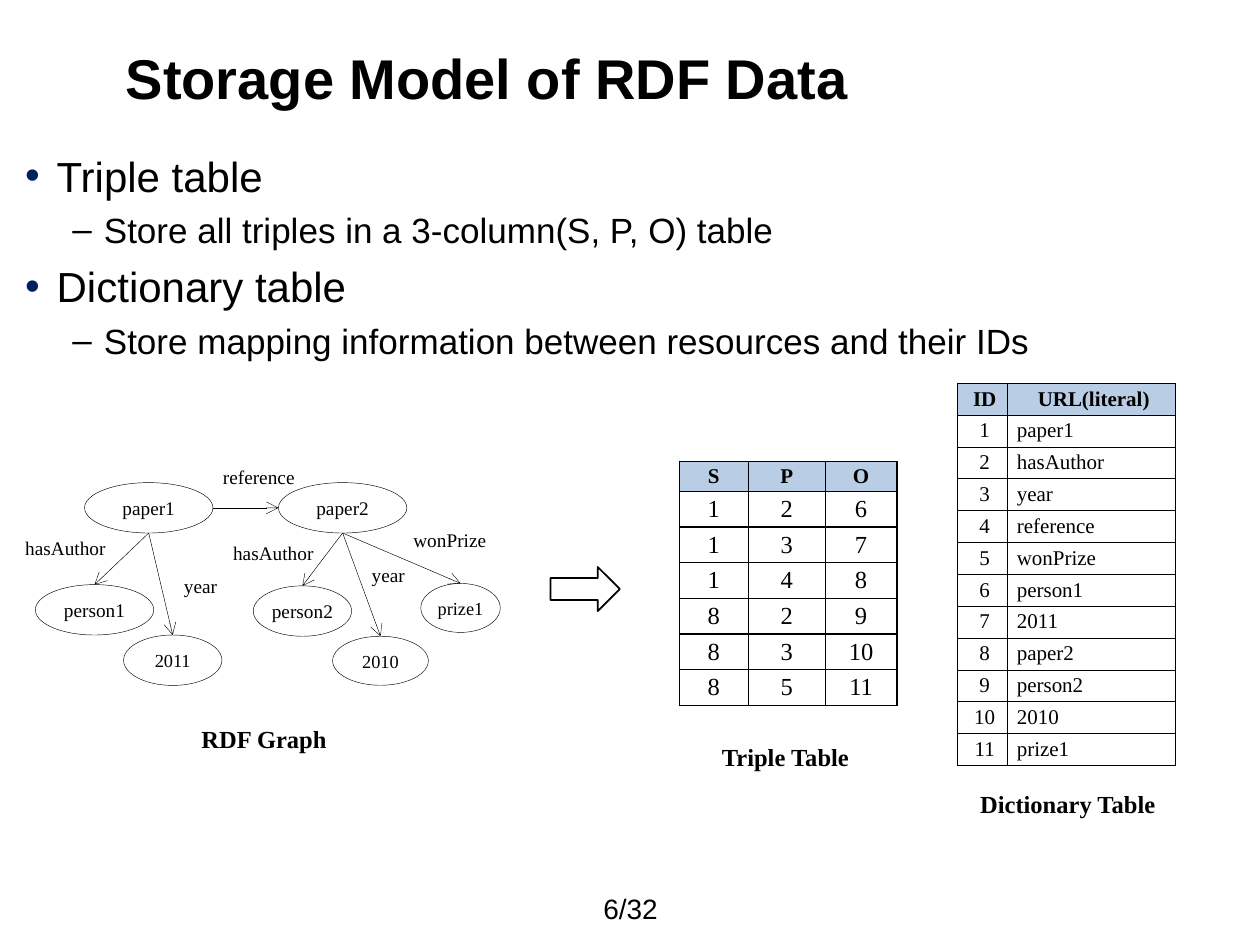
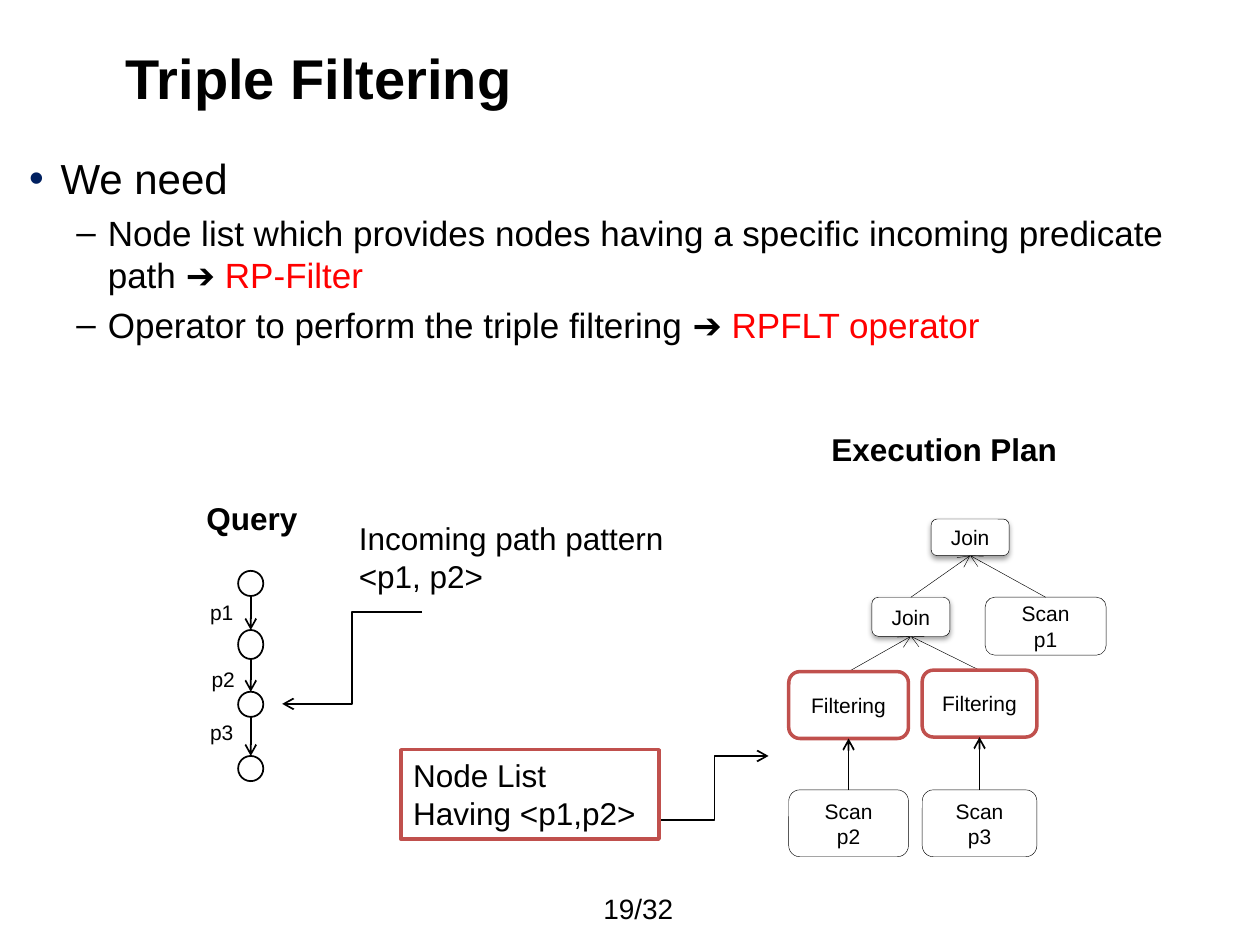
import dataclasses
import functools
import itertools
import typing

import lxml.etree
import pptx
import pptx.dml.color
import pptx.enum.shapes
import pptx.enum.text
import pptx.oxml
import pptx.oxml.ns
import pptx.util

HUES = {"ink": "000000", "paper": "FFFFFF", "head": "B9CDE5",
        "dot": "002060", "red": "FF0000", "frame": "C0504D"}
SANS, SERIF = "Arial", "Times New Roman"
LEFT, MID = pptx.enum.text.PP_ALIGN.LEFT, pptx.enum.text.PP_ALIGN.CENTER
FORM = pptx.enum.shapes.MSO_SHAPE
LINK = pptx.enum.shapes.MSO_CONNECTOR
ANCHOR = pptx.enum.text.MSO_ANCHOR
Spot = tuple[float, float]


@dataclasses.dataclass(frozen=True)
class Item:
    """A text box, or a preset shape when form is set."""
    x: float
    y: float
    w: float
    h: float
    text: str = ""
    size: float = 12
    form: typing.Any = None
    bold: bool = False
    font: str = SANS
    align: typing.Any = LEFT
    center: bool = True
    side: float = 7.2
    wrap: bool = True
    line: str = "ink"
    thick: float = 1
    fill: str = ""
    shade: bool = False

    @property
    def top(self) -> Spot:
        return self.x + self.w / 2, self.y

    @property
    def base(self) -> Spot:
        return self.x + self.w / 2, self.y + self.h

    @property
    def left(self) -> Spot:
        return self.x, self.y + self.h / 2

    @property
    def right(self) -> Spot:
        return self.x + self.w, self.y + self.h / 2


@dataclasses.dataclass(frozen=True)
class Point:
    """A bullet line, with an optional ending in red."""
    level: int
    text: str
    tail: str = ""


@dataclasses.dataclass(frozen=True)
class Grid:
    x: float
    y: float
    cols: list[float]
    rows: list[float]
    cells: list[list[str]]
    aligns: list[typing.Any]
    size: float
    side: float
    thick: float


Title = functools.partial(Item, 64.8, 20.9, 596.9, 46.1, size=32, bold=True)
Page = functools.partial(Item, 337.7, 508.3, 61.9, 20.9, size=16)
Node = functools.partial(Item, size=11, form=FORM.OVAL, font=SERIF, align=MID,
                         side=0, thick=0.25)
Label = functools.partial(Item, h=20.9, size=11, font=SERIF, center=False, side=0)
Name = functools.partial(Item, h=24.5, size=14, font=SERIF, bold=True,
                         center=False, wrap=False)
Step = functools.partial(Item, form=FORM.ROUNDED_RECTANGLE, align=MID,
                         thick=0.25, fill="paper")
Join = functools.partial(Step, w=44.6, text="Join", shade=True)
Filter = functools.partial(Step, h=38.2, text="Filtering", line="frame", thick=2)
Head = functools.partial(Item, h=28.8, size=18, bold=True, wrap=False)
Mark = functools.partial(Item, w=28, h=21.6, wrap=False)


def hue(name: str) -> pptx.dml.color.RGBColor:
    return pptx.dml.color.RGBColor.from_string(HUES[name])


def node(xml: str) -> lxml.etree._Element:
    """Parse one DrawingML element, given without its namespace."""
    tag, rest = xml.split(" ", 1)
    return pptx.oxml.parse_xml(f"{tag} {pptx.oxml.ns.nsdecls('a')} {rest}")


def style(run: typing.Any, size: float, font: str = SANS, bold: bool = False,
          tint: str = "ink") -> None:
    run.font.size = pptx.util.Pt(size)
    run.font.name = font
    run.font.bold = bold
    run.font.color.rgb = hue(tint)


def write(frame: typing.Any, text: str, size: float, font: str, bold: bool,
          align: typing.Any) -> None:
    frame.text = text
    for para in frame.paragraphs:
        para.alignment = align
        for run in para.runs:
            style(run, size, font, bold)


def pad(part: typing.Any, left: float, top: float, right: float, base: float) -> None:
    part.margin_left, part.margin_top = pptx.util.Pt(left), pptx.util.Pt(top)
    part.margin_right, part.margin_bottom = pptx.util.Pt(right), pptx.util.Pt(base)


def draw(slide: typing.Any, item: Item) -> None:
    box = [pptx.util.Pt(n) for n in (item.x, item.y, item.w, item.h)]
    if item.form is None:
        shape = slide.shapes.add_textbox(*box)
    else:
        shape = slide.shapes.add_shape(item.form, *box)
        shape.shadow.inherit = False
        shape.line.color.rgb = hue(item.line)
        shape.line.width = pptx.util.Pt(item.thick)
        if item.fill:
            shape.fill.solid()
            shape.fill.fore_color.rgb = hue(item.fill)
        else:
            shape.fill.background()
    if item.shade:
        effect = shape._element.spPr.find(pptx.oxml.ns.qn("a:effectLst"))
        effect.append(node(
            '<a:outerShdw blurRad="40000" dist="20000" dir="5400000" rotWithShape="0">'
            f'<a:srgbClr val="{HUES["ink"]}"><a:alpha val="38000"/></a:srgbClr>'
            '</a:outerShdw>'))
    if item.text:
        frame = shape.text_frame
        frame.word_wrap = item.wrap
        frame.vertical_anchor = ANCHOR.MIDDLE if item.center else ANCHOR.TOP
        pad(frame, item.side, 3.6, item.side, 3.6)
        write(frame, item.text, item.size, item.font, item.bold, item.align)


def arrow(slide: typing.Any, start: Spot, end: Spot, thick: float = 1,
          kind: typing.Any = LINK.STRAIGHT) -> None:
    ends = [pptx.util.Pt(n) for n in (*start, *end)]
    link = slide.shapes.add_connector(kind, *ends)
    link.line.color.rgb = hue("ink")
    link.line.width = pptx.util.Pt(thick)
    link.line._get_or_add_ln().append(node('<a:tailEnd type="arrow"/>'))
    link._element.spPr.append(node("<a:effectLst />"))


def body(slide: typing.Any, x: float, y: float, h: float, points: list[Point]) -> None:
    box = slide.shapes.add_textbox(*(pptx.util.Pt(n) for n in (x, y, 686.2, h)))
    frame = box.text_frame
    frame.word_wrap = True
    pad(frame, 0, 3, 0, 0)
    for i, point in enumerate(points):
        para = frame.add_paragraph() if i else frame.paragraphs[0]
        para.text = point.text
        para.level = point.level
        size, gap, dent, sign, tint = [(24, 5.6, 18, "•", "dot"),
                                       (20, 4.8, 45, "–", "ink")][point.level]
        prop = para._p.get_or_add_pPr()
        prop.set("marL", str(pptx.util.Pt(dent)))
        prop.set("indent", str(pptx.util.Pt(-18)))
        prop.append(node(f'<a:buClr ><a:srgbClr val="{HUES[tint]}"/></a:buClr>'))
        prop.append(node(f'<a:buFont typeface="{SANS}"/>'))
        prop.append(node(f'<a:buChar char="{sign}"/>'))
        if i:
            para.space_before = pptx.util.Pt(gap)
        style(para.runs[0], size)
        if point.tail:
            run = para.add_run()
            run.text = point.tail
            style(run, size, tint="red")


def table(slide: typing.Any, grid: Grid) -> None:
    sizes = (grid.x, grid.y, sum(grid.cols), sum(grid.rows))
    made = slide.shapes.add_table(len(grid.rows), len(grid.cols),
                                  *(pptx.util.Pt(n) for n in sizes)).table
    made.first_row = made.horz_banding = False
    for col, wide in zip(made.columns, grid.cols):
        col.width = pptx.util.Pt(wide)
    for r, (row, high) in enumerate(zip(made.rows, grid.rows)):
        row.height = pptx.util.Pt(high)
        for c, cell in enumerate(row.cells):
            top = r == 0
            cell.vertical_anchor = ANCHOR.MIDDLE
            pad(cell, grid.side, 0, 2.9, 0)
            write(cell.text_frame, grid.cells[r][c], 12 if top else grid.size,
                  SERIF, top, MID if top else grid.aligns[c])
            cell.fill.solid()
            cell.fill.fore_color.rgb = hue("head" if top else "paper")
            for i, edge in enumerate("LRTB"):
                cell._tc.tcPr.insert(i, node(
                    f'<a:ln{edge} w="{pptx.util.Pt(grid.thick)}"><a:solidFill>'
                    f'<a:srgbClr val="{HUES["ink"]}"/></a:solidFill></a:ln{edge}>'))


def model(slide: typing.Any) -> None:
    draw(slide, Title(text="Storage Model of RDF Data"))
    body(slide, 14.4, 82.8, 393.8, [
        Point(0, "Triple table"),
        Point(1, "Store all triples in a 3-column(S, P, O) table"),
        Point(0, "Dictionary table"),
        Point(1, "Store mapping information between resources and their IDs")])

    triples = ["1 2 6", "1 3 7", "1 4 8", "8 2 9", "8 3 10", "8 5 11"]
    table(slide, Grid(388.1, 263.5, [39.6, 43.9, 41], [17.3] + [20.4] * 6,
                      [row.split() for row in ["S P O", *triples]],
                      [MID] * 3, 14, 2.9, 0.75))
    words = ["paper1", "hasAuthor", "year", "reference", "wonPrize", "person1",
             "2011", "paper2", "person2", "2010", "prize1"]
    rows = [[str(i), word] for i, word in enumerate(words, 1)]
    table(slide, Grid(547.2, 218.9, [28.1, 96.5], [18.2] * 12,
                      [["ID", "URL(literal)"], *rows], [MID, LEFT], 12, 5.8, 0.25))

    one = Node(48.3, 275.8, 73.4, 28.8, "paper1")
    two = Node(159.1, 275.8, 73.4, 28.8, "paper2")
    kids = {
        one: [Node(20.2, 334.1, 67.7, 28.8, "person1"),
              Node(70.6, 362.9, 56.2, 28.8, "2011", size=10.5)],
        two: [Node(144.7, 334.8, 56.2, 28.8, "person2"),
              Node(190.1, 363.6, 54.7, 28, "2010", size=10.5),
              Node(240.5, 333.4, 45.4, 28, "prize1", size=10.5)]}
    arrow(slide, one.right, two.left, 0.25)
    for root, leaves in kids.items():
        draw(slide, root)
        for leaf in leaves:
            draw(slide, leaf)
            arrow(slide, root.base, leaf.top, 0.25)

    for item in [
            Label(127.4, 262.1, 79.2, text="reference"),
            Label(14.4, 303.1, 56.9, text="hasAuthor"),
            Label(105.1, 324.7, 33.8, text="year"),
            Label(133.2, 306, 90, text="hasAuthor"),
            Label(212.4, 318.2, 33.8, text="year"),
            Label(236.2, 298.1, 45.4, text="wonPrize"),
            Name(108, 410.4, 89.3, text="RDF Graph"),
            Name(405.4, 420.5, 87.8, text="Triple Table"),
            Name(553, 447.1, 115.2, text="Dictionary Table"),
            Item(314.6, 324, 39.6, 25.2, form=FORM.RIGHT_ARROW),
            Page(text="6/32")]:
        draw(slide, item)


def plan(slide: typing.Any) -> None:
    draw(slide, Title(text="Triple Filtering"))
    body(slide, 16.6, 84.2, 197.3, [
        Point(0, "We need"),
        Point(1, "Node list which provides nodes having a specific incoming "
                 "predicate path ➔ ", "RP-Filter"),
        Point(1, "Operator to perform the triple filtering ➔ ", "RPFLT operator")])

    dots = [Item(136.1, y, 14.4, h, form=FORM.OVAL)
            for y, h in [(326.2, 14.4), (360, 16.6), (395.3, 14.4), (432, 14.4)]]
    for dot in dots:
        draw(slide, dot)
    for upper, lower in itertools.pairwise(dots):
        arrow(slide, upper.base, lower.top)

    peak, low = Join(532.1, 296.6, h=20.9), Join(498.2, 341.3, h=22.3)
    scans = [Step(450.7, 451.4, 68.4, 38.2, "Scan\np2"),
             Step(527, 451.4, 65.5, 38.2, "Scan\np3")]
    sieves = [Filter(450.7, 383.8, 68.4), Filter(527, 383, 65.5)]
    last = Step(563, 341.3, 69.1, 33.1, "Scan\np1")
    for step in [*scans, last, low, peak]:
        draw(slide, step)
    for child, root in [(sieves[0], low), (sieves[1], low), (low, peak), (last, peak)]:
        arrow(slide, child.top, root.base, 0.25)
    for scan, sieve in zip(scans, sieves):
        draw(slide, sieve)
        arrow(slide, scan.top, sieve.base)

    arrow(slide, (241.2, 349.9), (161.3, 402.2), kind=LINK.ELBOW)
    arrow(slide, (377.3, 468.7), (439.2, 432), kind=LINK.ELBOW)
    for item in [
            Head(110.9, 281.5, 67, text="Query"),
            Head(468, 241.9, 144.7, text="Execution Plan"),
            Mark(113, 339.1, text="p1"),
            Mark(113.8, 377.3, text="p2"),
            Mark(113, 407.5, text="p3"),
            Item(198, 293, 190.1, 51.1, "Incoming path pattern\n<p1, p2>", 18,
                 center=False, wrap=False),
            Item(229, 428.4, 147.6, 51.1, "Node List\nHaving <p1,p2>", 18,
                 FORM.RECTANGLE, center=False, line="frame", thick=2, fill="paper"),
            Page(text="19/32")]:
        draw(slide, item)


def main() -> None:
    deck = pptx.Presentation()
    deck.slide_width, deck.slide_height = pptx.util.Pt(720), pptx.util.Pt(540)
    for build in (model, plan):
        build(deck.slides.add_slide(deck.slide_layouts[6]))
    deck.save("out.pptx")


if __name__ == "__main__":
    main()
